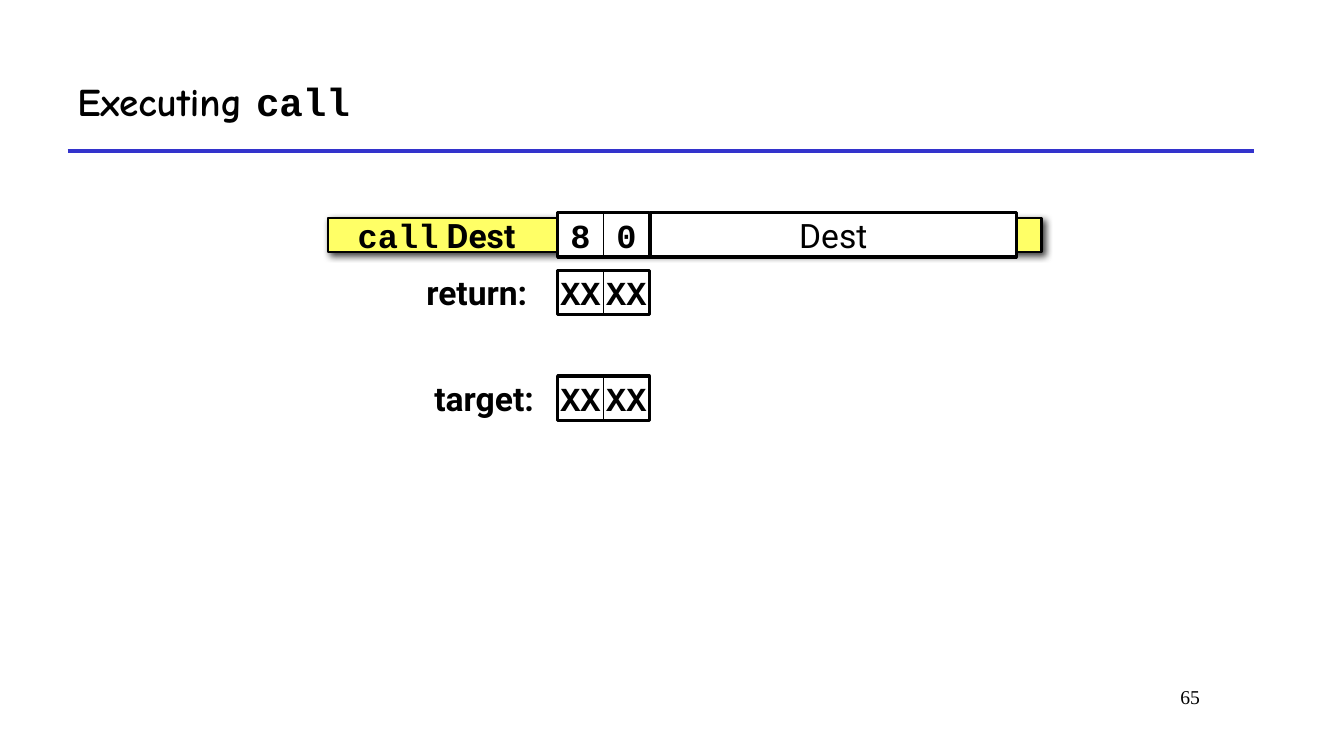
from dataclasses import dataclass

from lxml.etree import SubElement
from pptx import Presentation
from pptx.dml.color import RGBColor
from pptx.enum.shapes import MSO_CONNECTOR, MSO_SHAPE
from pptx.enum.text import MSO_ANCHOR, PP_ALIGN
from pptx.oxml.ns import qn
from pptx.util import Inches, Pt


@dataclass(frozen=True)
class Theme:
    black: str = "000000"
    white: str = "FFFFFF"
    yellow: str = "FFFF66"
    blue: str = "3333CC"
    title_size: int = 28
    body_size: int = 24
    number_size: int = 14
    title_font: str = "Comic Neue"
    code_font: str = "Courier New"
    body_font: str = "Roboto"
    number_font: str = "Times New Roman"


theme = Theme()
prs = Presentation()
prs.slide_width, prs.slide_height = Inches(13.33), Inches(7.5)
s = prs.slides.add_slide(prs.slide_layouts[6])


def add_text(sp, runs, size=theme.body_size, align=PP_ALIGN.LEFT,
             anchor=MSO_ANCHOR.MIDDLE, wrap=True):
    """Fill a shape with one paragraph of (text, font, bold) runs."""
    tf = sp.text_frame
    tf.word_wrap, tf.vertical_anchor = wrap, anchor
    p = tf.paragraphs[0]
    p.alignment = align
    for text, font, bold in runs:
        r = p.add_run()
        r.text = text
        r.font.name, r.font.size, r.font.bold = font, Pt(size), bold
        r.font.color.rgb = RGBColor.from_string(theme.black)


def add_box(x, y, w, h, line, fill=None):
    """Add a rectangle with a black outline and an optional fill."""
    sp = s.shapes.add_shape(MSO_SHAPE.RECTANGLE, Inches(x), Inches(y), Inches(w), Inches(h))
    sp.shadow.inherit = False
    if fill:
        sp.fill.solid()
        sp.fill.fore_color.rgb = RGBColor.from_string(fill)
    else:
        sp.fill.background()
    sp.line.color.rgb = RGBColor.from_string(theme.black)
    sp.line.width = Pt(line)
    return sp


# Rule under the title
rule = s.shapes.add_connector(MSO_CONNECTOR.STRAIGHT, Inches(0.67), Inches(1.5),
                              Inches(12.44), Inches(1.5))
rule.line.color.rgb = RGBColor.from_string(theme.blue)
rule.line.width = Pt(3)
SubElement(rule._element.spPr, qn("a:effectLst"))

# Page number and title
number = s.shapes.add_textbox(Inches(10.11), Inches(6.75), Inches(1.89), Inches(0.5))
add_text(number, [("65", theme.number_font, False)], theme.number_size,
         PP_ALIGN.RIGHT, MSO_ANCHOR.TOP)
title = s.shapes.add_textbox(Inches(0.67), Inches(0.5), Inches(11.78), Inches(1))
add_text(title, [("Executing ", theme.title_font, True), ("call", theme.code_font, True)],
         theme.title_size)

# Yellow instruction bar with its shadow
bar = add_box(3.25, 2.16, 7.08, 0.34, 1.5, theme.yellow)
shadow = SubElement(bar._element.spPr.find(qn("a:effectLst")), qn("a:outerShdw"),
                    blurRad=str(Pt(5)), dist=str(Pt(3)), dir=str(45 * 60000),
                    algn="ctr", rotWithShape="0")
shadow_color = SubElement(shadow, qn("a:srgbClr"), val=theme.black)
SubElement(shadow_color, qn("a:alpha"), val="75000")

# Each row: label and a framed pair of byte cells
row_h, cell_w, cells_x = 0.44, 0.455, 5.53
rows = [
    (2.11, 3.45, 2.83, [("call", theme.code_font, True), (" Dest", theme.body_font, True)],
     ("8", "0")),
    (2.68, 4.13, 1.65, [("return:", theme.body_font, True)], ("XX", "XX")),
    (3.73, 4.21, 1.65, [("target:", theme.body_font, True)], ("XX", "XX")),
]
for y, label_x, label_w, label_runs, values in rows:
    label = s.shapes.add_textbox(Inches(label_x), Inches(y), Inches(label_w), Inches(row_h))
    add_text(label, label_runs)
    for i, value in enumerate(values):
        cell = add_box(cells_x + i * cell_w, y, cell_w, row_h, 0.5, theme.white)
        add_text(cell, [(value, theme.code_font, True)], align=PP_ALIGN.CENTER, wrap=False)
    add_box(cells_x, y, 2 * cell_w, row_h, 2.25)

# Destination field
dest = add_box(6.45, 2.11, 3.63, row_h, 2.25, theme.white)
add_text(dest, [("Dest", theme.body_font, False)], align=PP_ALIGN.CENTER, wrap=False)

prs.save("out.pptx")
